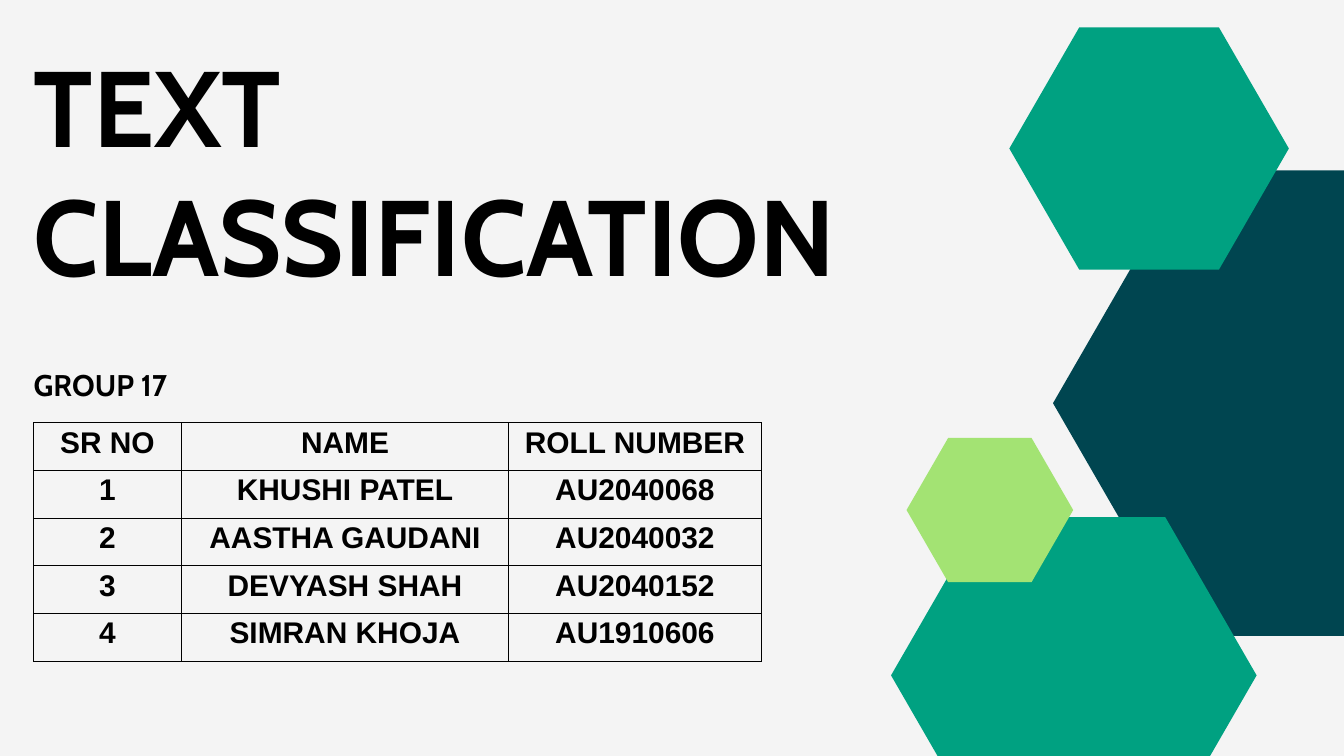
from math import sqrt
from typing import NamedTuple

from lxml import etree
from pptx import Presentation
from pptx.dml.color import RGBColor
from pptx.enum.text import MSO_ANCHOR, MSO_AUTO_SIZE, PP_ALIGN
from pptx.oxml.ns import qn
from pptx.util import Inches, Pt

LEFT, CENTER = PP_ALIGN.LEFT, PP_ALIGN.CENTER
TOP = MSO_ANCHOR.TOP
GROW = MSO_AUTO_SIZE.SHAPE_TO_FIT_TEXT

WIDE, HIGH = 20, 11.25
EDGE = 0.5
COLORS = {
    "page": "F4F4F4",
    "ink": "000000",
    "navy": "004550",
    "green": "00A181",
    "lime": "A3E373",
}


class Hexagon(NamedTuple):
    x: float  # centre
    y: float
    r: float  # centre to side corner
    color: str


HEXAGONS = [
    Hexagon(19.67, 6, 4, "navy"),
    Hexagon(15.98, 10.05, 2.72, "green"),
    Hexagon(14.73, 7.59, 1.24, "lime"),
    Hexagon(17.1, 2.21, 2.08, "green"),
]

COLS = [2.2, 4.87, 3.76]
ROW = 0.71
ROWS = [
    ("SR NO", "NAME", "ROLL NUMBER"),
    ("1", "KHUSHI PATEL", "AU2040068"),
    ("2", "AASTHA GAUDANI", "AU2040032"),
    ("3", "DEVYASH SHAH", "AU2040152"),
    ("4", "SIMRAN KHOJA", "AU1910606"),
]


def rgb(name: str) -> RGBColor:
    return RGBColor.from_string(COLORS[name])


def put_text(frame, text: str, *, size=32, font="Cabin", align=LEFT) -> None:
    """Write bold text; a vertical tab breaks the line."""
    frame.text = text
    para = frame.paragraphs[0]
    para.alignment = align
    for run in para.runs:
        run.font.name = font
        run.font.size = Pt(size)
        run.font.bold = True
        run.font.color.rgb = rgb("ink")


def fit_box(shape, left: float, top: float, width: float, height: float) -> None:
    """Place a text shape with tight insets."""
    frame = shape.text_frame
    frame.word_wrap = True
    frame.auto_size = GROW
    frame.vertical_anchor = TOP
    frame.margin_left = frame.margin_right = frame.margin_bottom = 0
    frame.margin_top = Inches(0.01)
    shape.left, shape.top = Inches(left), Inches(top)
    shape.width, shape.height = Inches(width), Inches(height)


def draw_hexagon(shapes, hexa: Hexagon) -> None:
    """Draw a regular hexagon, cut off at the right and bottom page edges."""
    x, y, r, color = hexa
    rise = r * sqrt(3) / 2
    low = min(y + rise, HIGH)
    foot = r - (low - y) / sqrt(3)  # half the width of the lower side
    corners = [
        (x - r, y), (x - r / 2, y - rise), (x + r / 2, y - rise),
        (x + r, y), (x + foot, low), (x - foot, low),
    ]
    points = [(Inches(min(px, WIDE)), Inches(py)) for px, py in corners]
    pen = shapes.build_freeform(*points[0])
    pen.add_line_segments(points[1:], close=True)
    shape = pen.convert_to_shape()
    shape.shadow.inherit = False
    shape.fill.solid()
    shape.fill.fore_color.rgb = rgb(color)
    shape.line.fill.background()


def add_border(cell, width: float = 1) -> None:
    props = cell._tc.get_or_add_tcPr()
    for spot, side in enumerate(("lnL", "lnR", "lnT", "lnB")):
        line = etree.Element(qn(f"a:{side}"), w=str(Pt(width)))
        fill = etree.SubElement(line, qn("a:solidFill"))
        etree.SubElement(fill, qn("a:srgbClr"), val=COLORS["ink"])
        props.insert(spot, line)  # borders come before the fill


def draw_table(shapes, left: float, top: float) -> None:
    table = shapes.add_table(
        len(ROWS), len(COLS), Inches(left), Inches(top),
        Inches(sum(COLS)), Inches(ROW * len(ROWS)),
    ).table
    table.first_row = table.horz_banding = False
    for col, width in zip(table.columns, COLS):
        col.width = Inches(width)
    for row, texts in zip(table.rows, ROWS):
        row.height = Inches(ROW)
        for cell, text in zip(row.cells, texts):
            put_text(cell.text_frame, text, font="Arial", align=CENTER)
            cell.fill.background()
            add_border(cell)


def main() -> None:
    deck = Presentation()
    deck.slide_width, deck.slide_height = Inches(WIDE), Inches(HIGH)
    slide = deck.slides.add_slide(deck.slide_layouts[5])
    shapes = slide.shapes

    # Background
    back = slide.background.fill
    back.solid()
    back.fore_color.rgb = rgb("page")

    # Title
    title = shapes.title
    put_text(title.text_frame, "TEXT\vCLASSIFICATION", size=115)
    fit_box(title, EDGE, 0.59, 12.38, 3.88)

    # Hexagon cluster
    group = shapes.add_group_shape()
    for hexa in HEXAGONS:
        draw_hexagon(group.shapes, hexa)

    # Member table and its heading
    draw_table(shapes, EDGE, 6.29)
    label = shapes.add_textbox(0, 0, 0, 0)
    put_text(label.text_frame, "GROUP 17")
    fit_box(label, EDGE, 5.45, 3.44, 0.55)

    deck.save("out.pptx")


if __name__ == "__main__":
    main()
